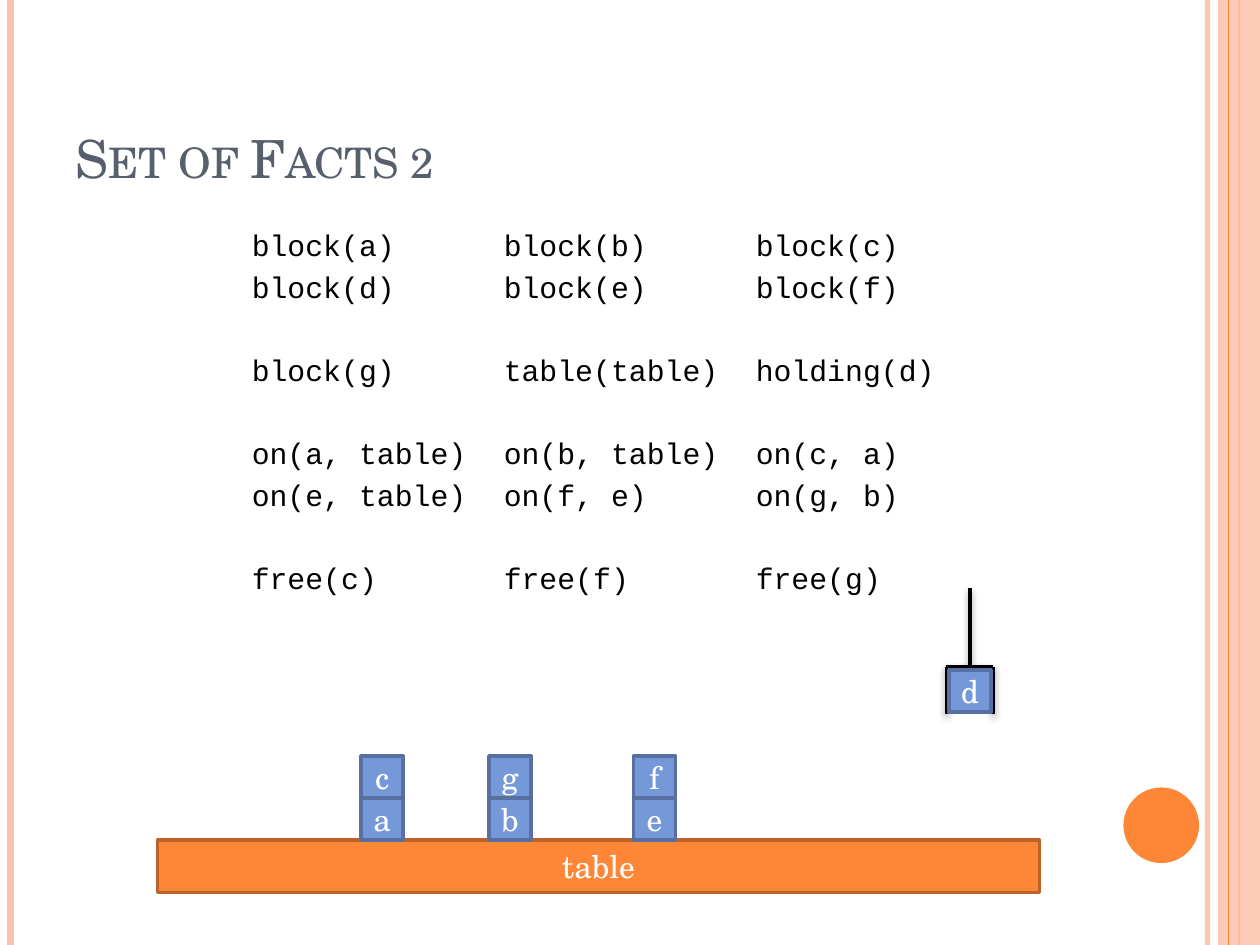
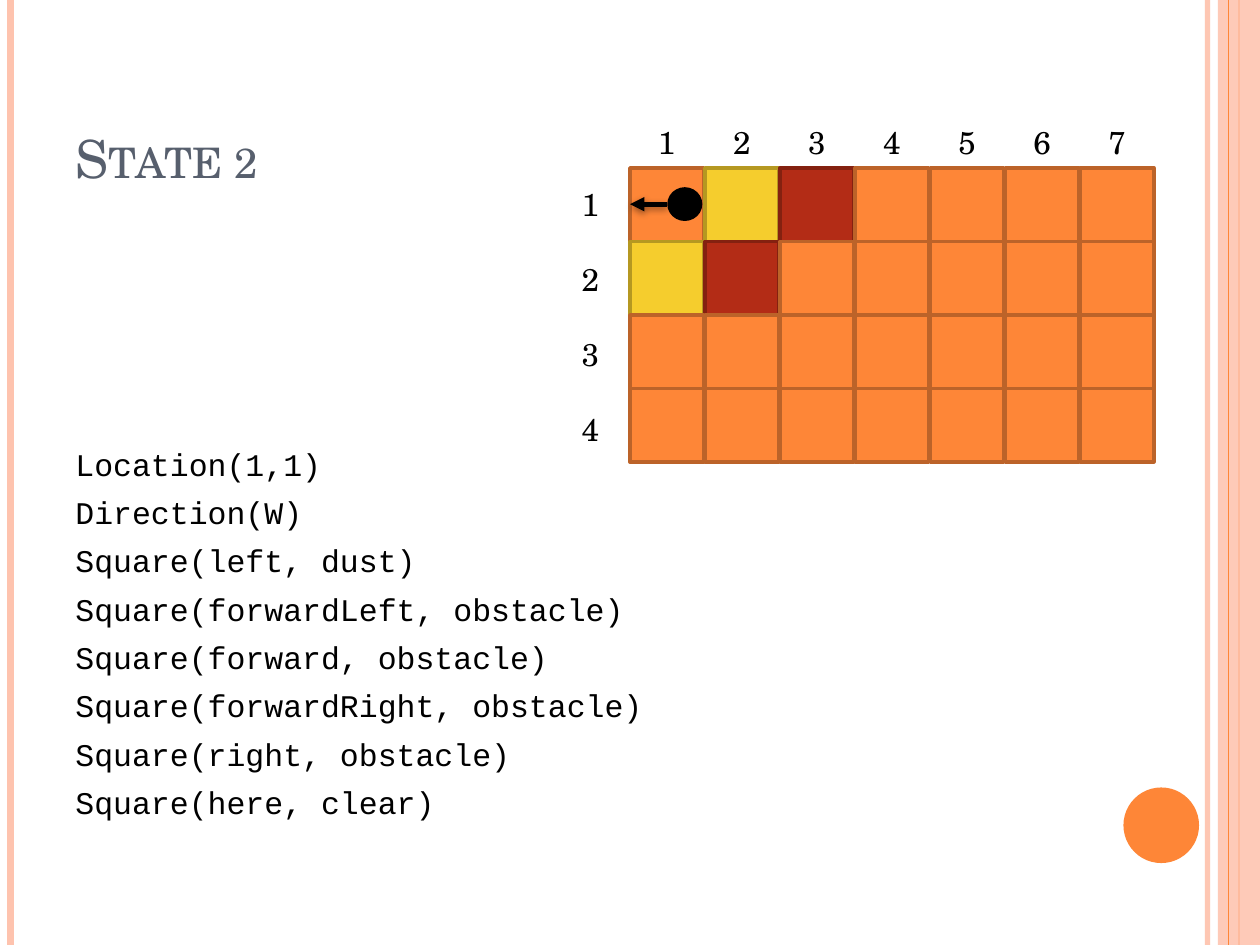
from dataclasses import dataclass
from typing import Optional

from lxml.etree import SubElement
from pptx import Presentation
from pptx.dml.color import RGBColor
from pptx.enum.shapes import MSO_CONNECTOR as CONN, MSO_SHAPE as SHAPE
from pptx.enum.text import MSO_ANCHOR as ANCHOR, MSO_AUTO_SIZE as AUTO, PP_ALIGN as ALIGN
from pptx.oxml.ns import qn
from pptx.util import Pt

COLORS = {
    "orange": "FE8637", "orange_edge": "BC6329", "peach": "FEC3AE",
    "yellow": "F5CD2D", "yellow_edge": "B59821",
    "red": "B32C16", "red_edge": "842110",
    "blue": "7598D9", "blue_edge": "5770A1",
    "slate": "575F6D", "black": "000000", "white": "FFFFFF",
}
SERIF, MONO = "TeX Gyre Schola", "Courier New"
WIDTH, HEIGHT = 720, 540


@dataclass
class Box:
    """A filled preset shape, with an optional centred label."""
    x: float
    y: float
    w: float
    h: float
    fill: str
    edge: Optional[str] = None
    label: str = ""
    kind: SHAPE = SHAPE.RECTANGLE
    alpha: int = 100


@dataclass
class Shadow:
    alpha: int
    blur: float
    dist: float


@dataclass
class Line:
    x1: float
    y1: float
    x2: float
    y2: float
    color: str
    width: float
    alpha: int = 100
    shadow: Optional[Shadow] = None
    arrow: bool = False


def rgb(name: str) -> RGBColor:
    return RGBColor.from_string(COLORS[name])


def set_alpha(shape, percent: int) -> None:
    if percent < 100:
        color = next(shape._element.spPr.iter(qn("a:srgbClr")))
        SubElement(color, qn("a:alpha"), val=str(percent * 1000))


def add_run(p, text: str, size: float, color: str, font: str = SERIF):
    r = p.add_run()
    r.text = text
    r.font.size, r.font.name = Pt(size), font
    r.font.color.rgb = rgb(color)
    return r


def add_box(slide, box: Box) -> None:
    sp = slide.shapes.add_shape(box.kind, Pt(box.x), Pt(box.y), Pt(box.w), Pt(box.h))
    sp.shadow.inherit = False
    sp.fill.solid()
    sp.fill.fore_color.rgb = rgb(box.fill)
    set_alpha(sp, box.alpha)
    if box.edge:
        sp.line.color.rgb = rgb(box.edge)
        sp.line.width = Pt(2)
    else:
        sp.line.fill.background()
    if box.label:
        tf = sp.text_frame
        tf.margin_left = tf.margin_right = tf.margin_top = tf.margin_bottom = 0
        tf.vertical_anchor = ANCHOR.MIDDLE
        p = tf.paragraphs[0]
        p.alignment = ALIGN.CENTER
        add_run(p, box.label, 18, "white")


def add_line(slide, line: Line) -> None:
    cx = slide.shapes.add_connector(
        CONN.STRAIGHT, Pt(line.x1), Pt(line.y1), Pt(line.x2), Pt(line.y2))
    cx.line.color.rgb = rgb(line.color)
    cx.line.width = Pt(line.width)
    set_alpha(cx, line.alpha)
    sp_pr = cx._element.spPr
    if line.arrow:
        SubElement(sp_pr.find(qn("a:ln")), qn("a:tailEnd"), type="triangle")
    effects = SubElement(sp_pr, qn("a:effectLst"))
    if line.shadow:
        outer = SubElement(effects, qn("a:outerShdw"), blurRad=str(Pt(line.shadow.blur)),
                           dist=str(Pt(line.shadow.dist)), dir="5400000", rotWithShape="0")
        color = SubElement(outer, qn("a:srgbClr"), val=COLORS["black"])
        SubElement(color, qn("a:alpha"), val=str(line.shadow.alpha * 1000))


def add_text_box(slide, x: float, y: float, w: float, h: float):
    tf = slide.shapes.add_textbox(Pt(x), Pt(y), Pt(w), Pt(h)).text_frame
    tf.word_wrap = True
    return tf


def add_number(slide, x: float, y: float, number: int) -> None:
    tf = add_text_box(slide, x, y, 42, 29)
    tf.auto_size = AUTO.SHAPE_TO_FIT_TEXT
    p = tf.paragraphs[0]
    p.alignment = ALIGN.CENTER
    add_run(p, str(number), 18, "black")


def add_code_line(tf, text: str, size: float, before: float):
    first = tf.paragraphs[0]
    p = tf.add_paragraph() if first.runs else first
    p.line_spacing = Pt(1.2 * size)
    p.space_before = Pt(before)
    add_run(p, text, size, "black", MONO)
    return p


# Shared frame: edge stripes, disc and title
FRAME = [
    Line(690, 0, 690, HEIGHT, "peach", 3, alpha=93),
    Line(6, 0, 6, HEIGHT, "peach", 4.5),
    Line(708, 0, 708, HEIGHT, "orange", 1.5),
    Box(696, 0, 24, HEIGHT, "peach", alpha=87),
    Line(702, 0, 702, HEIGHT, "orange", 0.75),
    Box(642, 450, 43.2, 43.2, "orange", kind=SHAPE.OVAL),
]


def draw(slide, items: list) -> None:
    for item in items:
        if isinstance(item, Box):
            add_box(slide, item)
        else:
            add_line(slide, item)


def new_slide(prs, title: str):
    slide = prs.slides.add_slide(prs.slide_layouts[6])
    draw(slide, FRAME)
    tf = add_text_box(slide, 36, 21.6, 588, 90)
    tf.vertical_anchor = ANCHOR.BOTTOM
    r = add_run(tf.paragraphs[0], title, 30, "slate")
    r.font._element.set("cap", "small")
    return slide


# Slide 1: blocks world
FACT_GROUPS = [
    [("block(a)", "block(b)", "block(c)"), ("block(d)", "block(e)", "block(f)")],
    [("block(g)", "table(table)", "holding(d)")],
    [("on(a, table)", "on(b, table)", "on(c, a)"), ("on(e, table)", "on(f, e)", "on(g, b)")],
    [("free(c)", "free(f)", "free(g)")],
]
FACT_TABS = (100.8, 244.8, 388.8)
FACT_SIZE, FACT_GAP, GROUP_GAP = 17, 3.4, 27.2
BLOCK, TABLE_TOP = 24, 480
STACKS = {206.4: "ac", 279.4: "bg", 362: "ef"}  # left edge: blocks from the bottom up


def add_facts(slide) -> None:
    tf = add_text_box(slide, 36, 126, 606, 384)
    for g, group in enumerate(FACT_GROUPS):
        for i, facts in enumerate(group):
            before = GROUP_GAP if g and not i else FACT_GAP
            p = add_code_line(tf, "\t" + "\t".join(facts), FACT_SIZE, before)
            tabs = SubElement(p._p.get_or_add_pPr(), qn("a:tabLst"))
            for pos in FACT_TABS:
                SubElement(tabs, qn("a:tab"), pos=str(Pt(pos)), algn="l")


def block(x: float, y: float, name: str) -> Box:
    return Box(x, y, BLOCK, BLOCK, "blue", "blue_edge", name)


def gripper(center: float, top: float) -> list:
    """Arm, bar and two fingers around a held block."""
    left, right, shadow = center - 13.4, center + 13.4, Shadow(40, 4, 2)
    ends = [(center, top - 45, center, top), (left, top, right, top),
            (right, top + 27, right, top), (left, top + 27, left, top)]
    return [Line(*e, "black", 2, shadow=shadow) for e in ends]


def build_facts(prs) -> None:
    slide = new_slide(prs, "Set of Facts 2")
    add_facts(slide)
    draw(slide, [Box(90, TABLE_TOP, 504, 30, "orange", "orange_edge", "table")])
    draw(slide, gripper(554.2, 381))
    draw(slide, [block(542.2, 383, "d")])
    for x, names in STACKS.items():
        draw(slide, [block(x, TABLE_TOP - BLOCK * level, name)
                     for level, name in enumerate(names, start=1)])


# Slide 2: grid world
STATE = [
    "Location(1,1)", "Direction(W)", "Square(left, dust)",
    "Square(forwardLeft, obstacle)", "Square(forward, obstacle)",
    "Square(forwardRight, obstacle)", "Square(right, obstacle)", "Square(here, clear)",
]
ROWS, COLS, CELL = 4, 7, 42
GRID_X, GRID_Y, STEP_X = 360, 96, 42.9
SPECIAL = {(0, 1): "yellow", (1, 0): "yellow", (0, 2): "red", (1, 1): "red"}


def build_state(prs) -> None:
    slide = new_slide(prs, "State 2")
    tf = add_text_box(slide, 36, 250.6, 368, 259)
    for text in STATE:
        add_code_line(tf, text, 18, 6)

    for row in range(ROWS):
        for col in range(COLS):
            color = SPECIAL.get((row, col), "orange")
            add_box(slide, Box(GRID_X + STEP_X * col, GRID_Y + CELL * row,
                               CELL, CELL, color, color + "_edge"))
    for col in range(COLS):
        add_number(slide, GRID_X + STEP_X * col, 67, col + 1)
    for row in range(ROWS):
        add_number(slide, 316.4, 102.2 + 42.9 * row, row + 1)

    # Agent facing west
    draw(slide, [
        Box(382.3, 108, 18, 17.3, "black", "black", kind=SHAPE.OVAL),
        Line(381, 116.7, GRID_X, 116.7, "black", 2.75, shadow=Shadow(42, 4, 1.6), arrow=True),
    ])


def main() -> None:
    prs = Presentation()
    prs.slide_width, prs.slide_height = Pt(WIDTH), Pt(HEIGHT)
    build_facts(prs)
    build_state(prs)
    prs.save("out.pptx")


if __name__ == "__main__":
    main()
